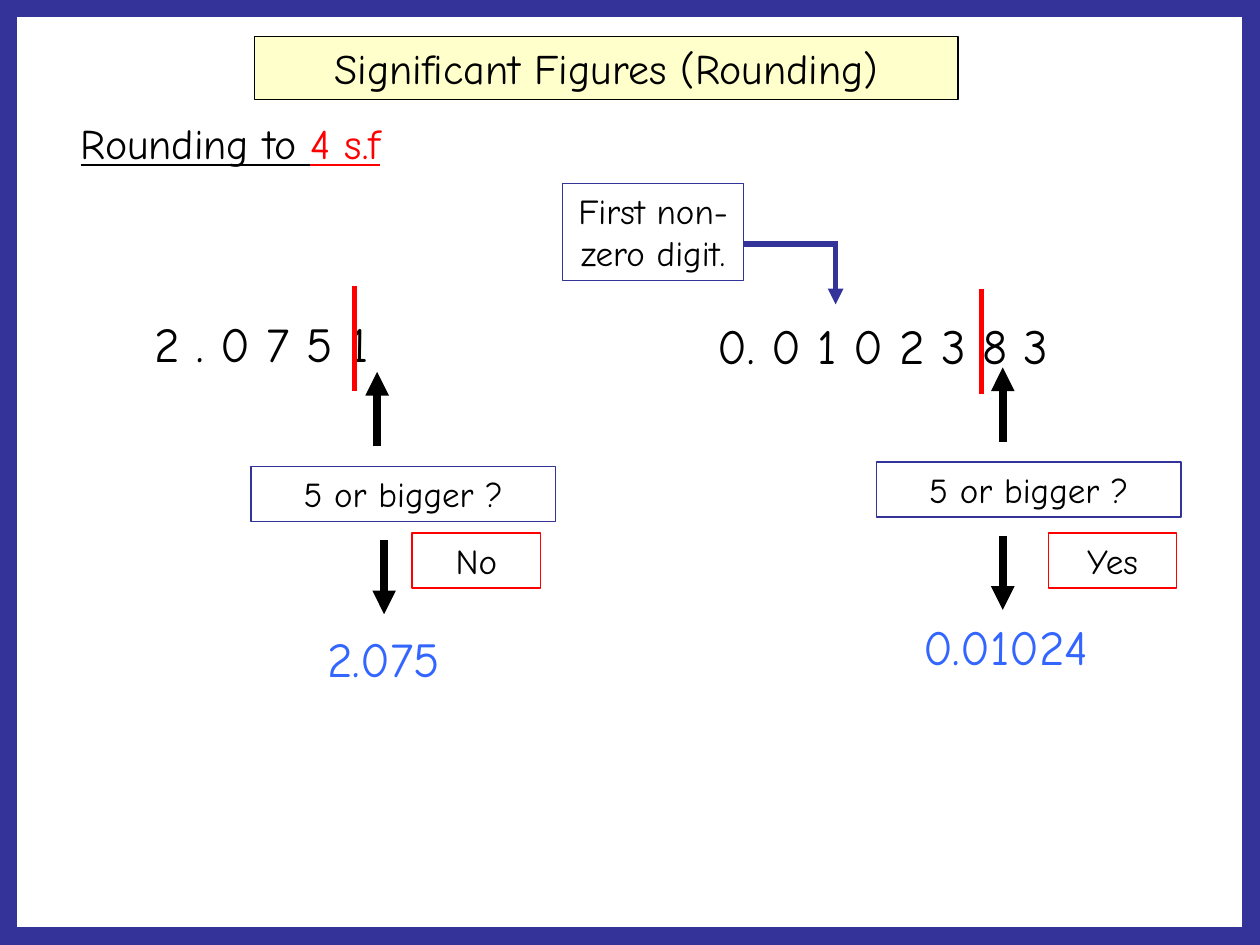
from dataclasses import dataclass

from lxml import etree
from pptx import Presentation
from pptx.dml.color import RGBColor
from pptx.enum.shapes import MSO_CONNECTOR, MSO_SHAPE
from pptx.enum.text import MSO_ANCHOR, MSO_AUTO_SIZE, PP_ALIGN
from pptx.oxml.ns import qn
from pptx.util import Pt

RECT = MSO_SHAPE.RECTANGLE
STRAIGHT = MSO_CONNECTOR.STRAIGHT
TOP = MSO_ANCHOR.TOP
GROW = MSO_AUTO_SIZE.SHAPE_TO_FIT_TEXT
LEFT, CENTER = PP_ALIGN.LEFT, PP_ALIGN.CENTER

FONT = "Comic Neue"
BLACK, RED, NAVY, BLUE, CREAM = "000000", "FF0000", "333399", "3366FF", "FFFFCC"


@dataclass
class Box:
    x: float
    y: float
    w: float
    h: float
    text: str
    size: float
    color: str = BLACK
    border: str | None = None
    fill: str | None = None


@dataclass
class Example:
    digits: Box
    cut_x: float
    question_x: float
    question_y: float
    down_x: float
    answer: Box
    result: Box


def rgb(color: str) -> RGBColor:
    return RGBColor.from_string(color)


def draw_rect(s, x: float, y: float, w: float, h: float,
              border: str, width: float, fill: str | None = None):
    sp = s.shapes.add_shape(RECT, Pt(x), Pt(y), Pt(w), Pt(h))
    sp.shadow.inherit = False
    sp.line.color.rgb = rgb(border)
    sp.line.width = Pt(width)
    if fill:
        sp.fill.solid()
        sp.fill.fore_color.rgb = rgb(fill)
    else:
        sp.fill.background()
    return sp


def draw_box(s, box: Box):
    """Bordered boxes are centred rectangles; the others are plain text boxes."""
    if box.border:
        sp = draw_rect(s, box.x, box.y, box.w, box.h, box.border, 0.75, box.fill)
    else:
        sp = s.shapes.add_textbox(Pt(box.x), Pt(box.y), Pt(box.w), Pt(box.h))
    tf = sp.text_frame
    tf.word_wrap = True
    tf.auto_size = GROW
    tf.vertical_anchor = TOP
    p = tf.paragraphs[0]
    p.alignment = CENTER if box.border else LEFT
    p.font.name = FONT
    p.font.size = Pt(box.size)
    p.font.color.rgb = rgb(box.color)
    p.add_run().text = box.text
    return p


def draw_line(s, x1: float, y1: float, x2: float, y2: float,
              color: str, width: float, arrow: bool = False) -> None:
    c = s.shapes.add_connector(STRAIGHT, Pt(x1), Pt(y1), Pt(x2), Pt(y2))
    c.line.color.rgb = rgb(color)
    c.line.width = Pt(width)
    if arrow:
        etree.SubElement(c.line._get_or_add_ln(), qn("a:tailEnd"), type="triangle")
    etree.SubElement(c._element.spPr, qn("a:effectLst"))


def draw_example(s, ex: Example) -> None:
    draw_box(s, ex.digits)
    cut_y = ex.digits.y - 12
    draw_line(s, ex.cut_x, cut_y, ex.cut_x, cut_y + 60, RED, 3)

    # Question with arrows up to the deciding digit and down to the result
    x, y = ex.question_x, ex.question_y
    draw_box(s, Box(x, y, 174, 31.5, "5 or bigger ?", 20, border=NAVY))
    draw_line(s, x + 72, y - 11.5, x + 72, y - 54, BLACK, 4.5, arrow=True)
    draw_line(s, ex.down_x, y + 42, ex.down_x, y + 84.5, BLACK, 4.5, arrow=True)

    draw_box(s, ex.answer)
    draw_box(s, ex.result)


EXAMPLES = [
    Example(Box(81.5, 175.5, 174.5, 41, "2 . 0 7 5 1", 28), 202.5, 143.5, 266.5, 219.5,
            Box(235.5, 304.5, 73.5, 31.5, "No", 20, border=RED),
            Box(180, 355.5, 102, 41, "2.075", 28, BLUE)),
    Example(Box(403, 177, 214.5, 41, "0. 0 1 0 2 3 8 3", 28), 561, 501, 264, 573,
            Box(599, 304.5, 73.5, 31.5, "Yes", 20, border=RED),
            Box(520.5, 349, 155, 41, "0.01024", 28, BLUE)),
]


def main() -> None:
    prs = Presentation()
    prs.slide_width, prs.slide_height = Pt(720), Pt(540)
    s = prs.slides.add_slide(prs.slide_layouts[6])

    # Worked examples
    for ex in EXAMPLES:
        draw_example(s, ex)

    # Note pointing at the first non-zero digit
    draw_line(s, 477.5, 138, 477.5, 174, NAVY, 3, arrow=True)
    draw_line(s, 479, 139.5, 425, 139.5, NAVY, 3)
    draw_box(s, Box(321.5, 105, 103.5, 55.5, "First non-zero digit.", 20, border=NAVY))

    # Title and heading
    draw_box(s, Box(145.5, 21, 402, 36, "Significant Figures (Rounding)", 24,
                    border=BLACK, fill=CREAM))
    p = draw_box(s, Box(39, 63.5, 210, 36, "Rounding to ", 24))
    p.font.underline = True
    r = p.add_run()
    r.text = "4 s.f"
    r.font.color.rgb = rgb(RED)

    # Slide frame
    draw_rect(s, 0, 0, 720, 540, NAVY, 20)

    prs.save("out.pptx")


if __name__ == "__main__":
    main()
